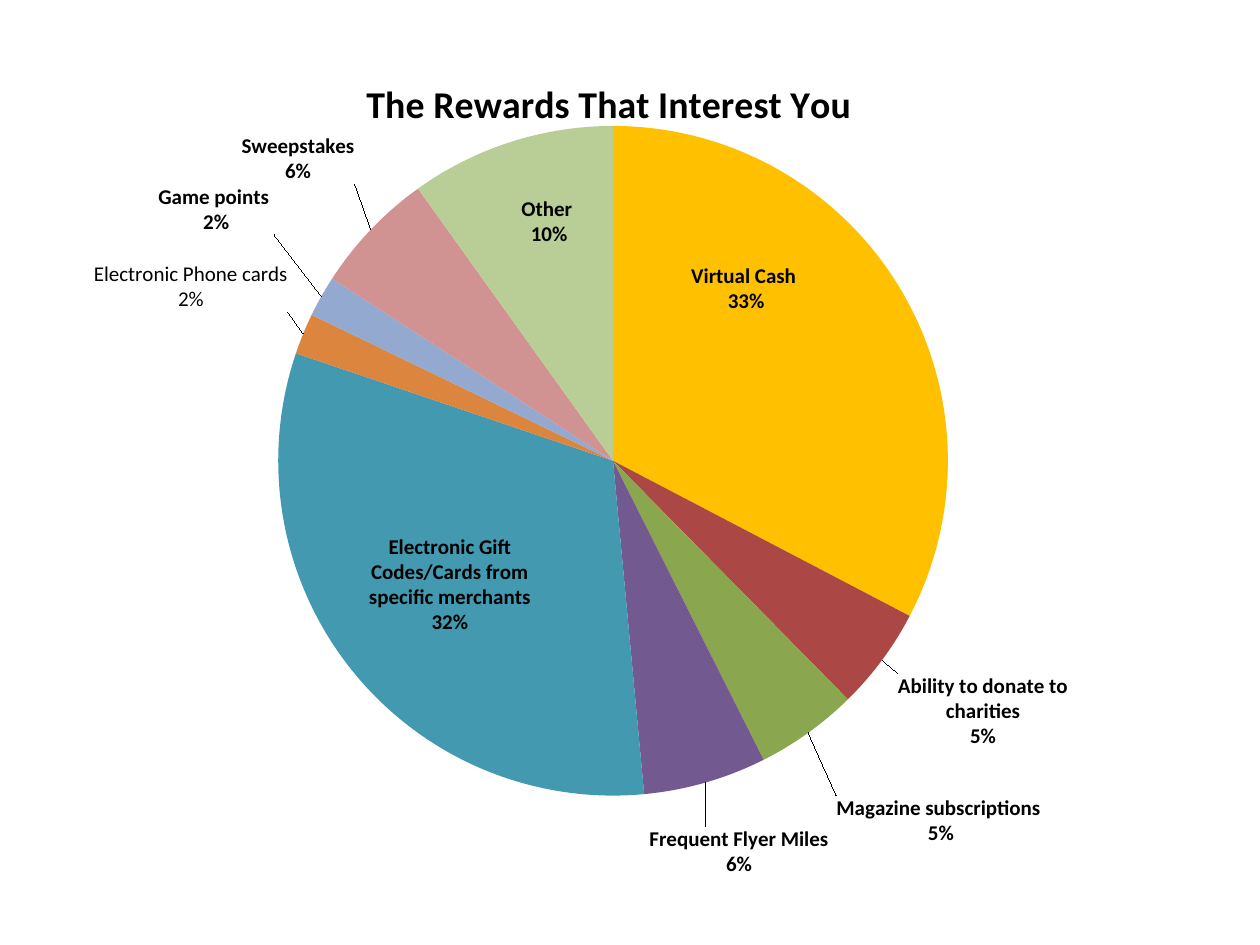
"""Build a slide with one pie chart of the rewards that interest people."""
from math import cos, pi, sin

from pptx import Presentation
from pptx import util as u
from pptx.chart.data import CategoryChartData
from pptx.dml.color import RGBColor
from pptx.enum import chart as ch
from pptx.oxml import parse_xml
from pptx.oxml.ns import nsdecls, qn

THEME = {"font": "Calibri", "ink": "000000", "base": 18, "title": 21.6, "label": 12}
TITLE = "The Rewards That Interest You"
LEFT, TOP, WIDTH, HEIGHT = 1.47, 0.84, 21.56, 17.42
MID_X, MID_Y, RADIUS = 12.36, 9.29, 6.75

SLICES = [
    ("Virtual Cash ", 33, "FFC000", 15.04, 5.83),
    ("Ability to donate to charities ", 5, "AB4744", 19.82, 14.33),
    ("Magazine subscriptions ", 5, "8AA64F", 18.97, 16.55),
    ("Frequent Flyer Miles", 6, "725990", 14.9, 17.17),
    ("Electronic Gift Codes/Cards from specific merchants", 32, "4299B0", 9.07, 11.79),
    ("Electronic Phone cards", 2, "DC853E", 3.85, 5.79),
    ("Game points ", 2, "93A9CF", 4.36, 4.23),
    ("Sweepstakes", 6, "D19392", 6.01, 3.21),
    ("Other ", 10, "B9CD96", 11.07, 4.48),
]
PLAIN = "Electronic Phone cards"
BROKEN = {
    1: "Ability to donate to\ncharities\n5%",
    4: "Electronic Gift\nCodes/Cards from\nspecific merchants\n32%",
}


def write(font=None, frame=None, text="", size=12, bold=True):
    fonts = [font]
    if frame is not None:
        frame.text = text
        fonts = [run.font for para in frame.paragraphs for run in para.runs]
    for face in fonts:
        face.name, face.size, face.bold = THEME["font"], u.Pt(size), bold
        face.color.rgb = RGBColor.from_string(THEME["ink"])


def place(node, spot, modes=(), **sizes):
    for old in node.findall(qn("c:layout")):
        node.remove(old)
    tags = "".join(f'<c:{k} val="{v}"/>' for k, v in modes)
    tags += "".join(f'<c:{k} val="{v:.4f}"/>' for k, v in sizes.items())
    node.insert(spot, parse_xml(
        f'<c:layout {nsdecls("c")}><c:manualLayout>{tags}</c:manualLayout></c:layout>'))


deck = Presentation()
deck.slide_width, deck.slide_height = u.Cm(25.4), u.Cm(19.05)
slide = deck.slides.add_slide(deck.slide_layouts[6])

data = CategoryChartData()
data.categories = [row[0] for row in SLICES]
data.add_series(TITLE, [row[1] for row in SLICES])
chart = slide.shapes.add_chart(
    ch.XL_CHART_TYPE.PIE, u.Cm(LEFT), u.Cm(TOP), u.Cm(WIDTH), u.Cm(HEIGHT), data).chart
chart.has_legend = False
write(chart.font, size=THEME["base"], bold=False)

chart.has_title = True
title = chart.chart_title
write(frame=title.text_frame, text=TITLE, size=THEME["title"])
edge = (("xMode", "edge"), ("yMode", "edge"))
place(title._element, 1, edge, x=0.268, y=0.033)
area = chart._chartSpace.find(qn("c:chart")).find(qn("c:plotArea"))
place(area, 0, (("layoutTarget", "inner"),) + edge,
      x=(MID_X - RADIUS - LEFT) / WIDTH, y=(MID_Y - RADIUS - TOP) / HEIGHT,
      w=2 * RADIUS / WIDTH, h=2 * RADIUS / HEIGHT)

plot = chart.plots[0]
plot.vary_by_categories = True
pie = plot.series[0]
labels = pie.data_labels
labels.show_value = False
labels.show_category_name = labels.show_percentage = True
labels.position = ch.XL_LABEL_POSITION.CENTER
write(labels.font, size=THEME["label"])

total = sum(row[1] for row in SLICES)
done = 0
for num, (name, value, color, x, y) in enumerate(SLICES):
    point = pie.points[num]
    point.format.fill.solid()
    point.format.fill.fore_color.rgb = RGBColor.from_string(color)
    point.format.line.fill.background()
    label = point.data_label
    if num in BROKEN:
        write(frame=label.text_frame, text=BROKEN[num], size=THEME["label"])
    else:
        write(label.font, size=THEME["label"], bold=name != PLAIN)
    label.position = ch.XL_LABEL_POSITION.CENTER
    node = pie._element.xpath(f"c:dLbls/c:dLbl[c:idx/@val='{num}']")[0]
    angle = 2 * pi * (done + value / 2) / total
    place(node, 1, x=(x - MID_X - RADIUS / 2 * sin(angle)) / WIDTH,
          y=(y - MID_Y + RADIUS / 2 * cos(angle)) / HEIGHT)
    for tag, flag in (("showVal", "0"), ("showCatName", "1"), ("showPercent", "1")):
        node.find(qn(f"c:{tag}")).set("val", flag)
    node.append(parse_xml(f'<c:separator {nsdecls("c")}>\n</c:separator>'))
    done += value

deck.save("out.pptx")
